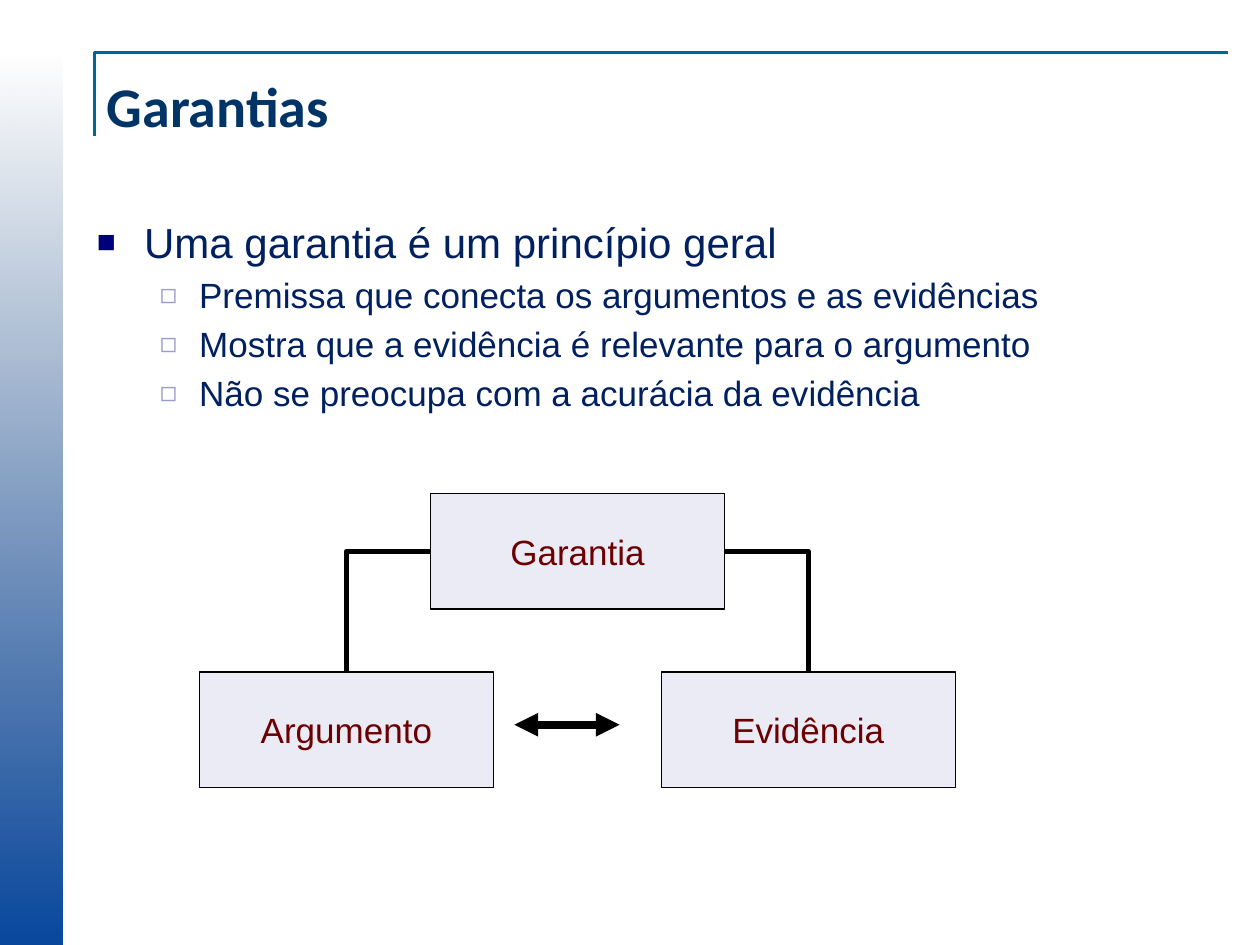
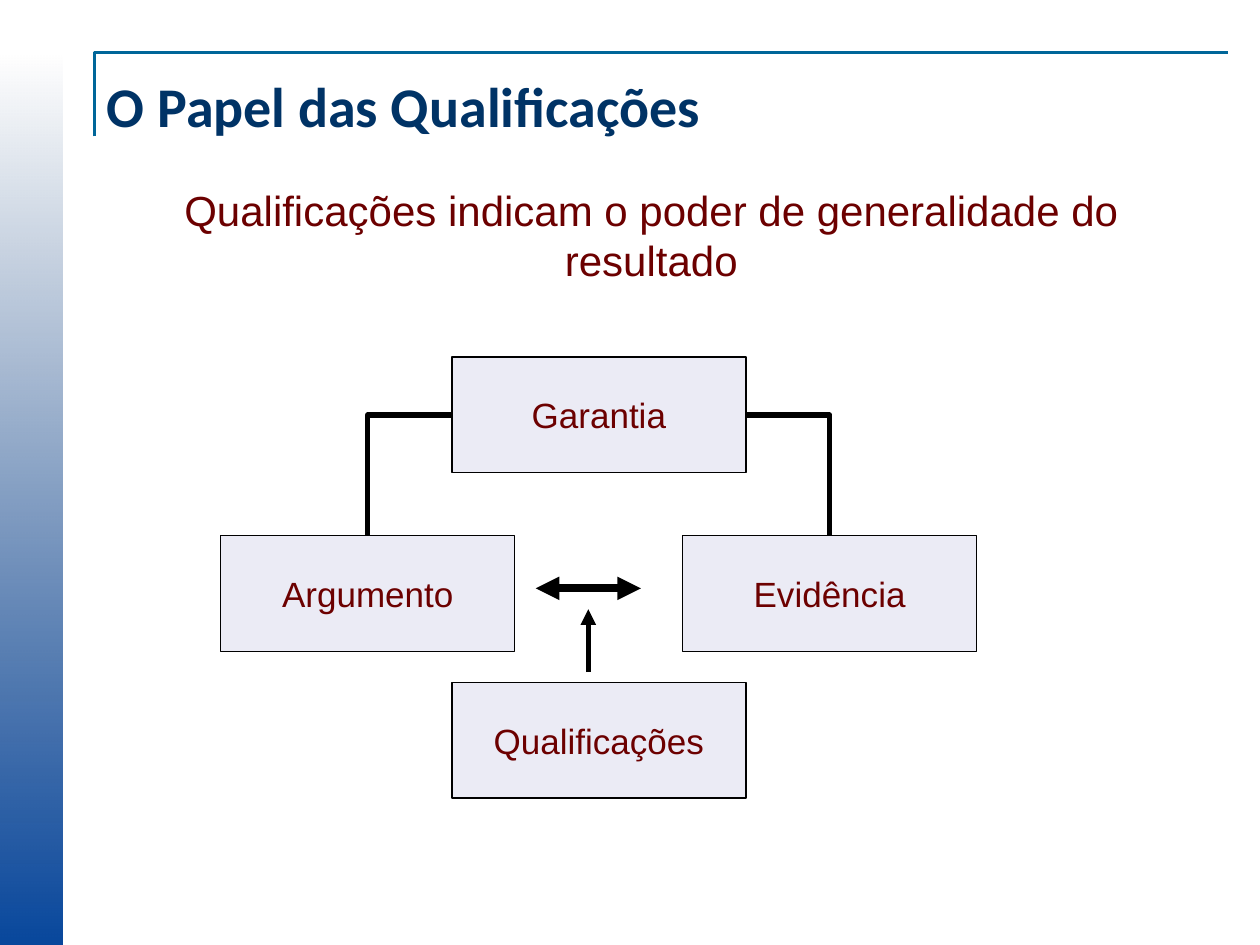
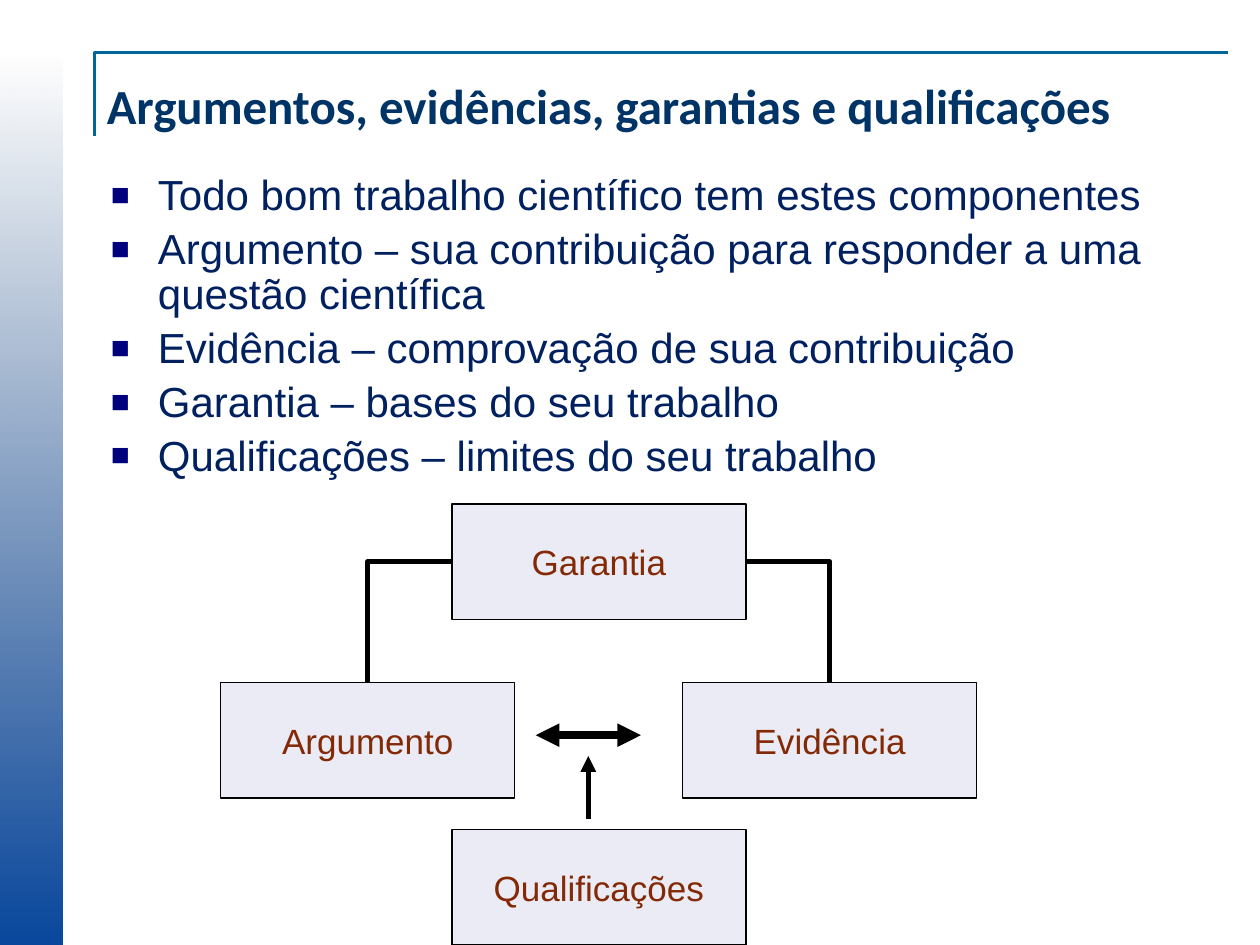
"""Build three slides on how claims, evidence, warrants and qualifications connect."""
import dataclasses

import pptx
import pptx.dml.color
import pptx.enum.shapes
import pptx.enum.text
import pptx.oxml.ns
import pptx.oxml.xmlchemy
import pptx.util

Cm = pptx.util.Cm
Pt = pptx.util.Pt
qn = pptx.oxml.ns.qn


@dataclasses.dataclass(frozen=True)
class Theme:
    """Colours, fonts and type sizes of the deck."""

    title_font: str = "Calibri"
    body_font: str = "Arial"
    title_color: str = "003366"
    body_color: str = "002060"
    accent_color: str = "6C0000"
    summary_color: str = "832905"
    frame_color: str = "006699"
    band_bottom: str = "08479C"
    band_top: str = "063370"
    box_fill: str = "EBEBF5"
    line_color: str = "000000"
    title_size: int = 32
    long_title_size: int = 28
    level_sizes: tuple = (24, 20)
    box_size: int = 20
    bullets: tuple = (("■", "00007D", 75), ("◻", "9999CC", 80))
    indents: tuple = ((0.95, 0.95), (2.06, 0.79))


THEME = Theme()
BOX_WIDTH, BOX_HEIGHT = 5.93, 2.33


def rgb(value):
    """Return a colour from its hexadecimal form."""
    return pptx.dml.color.RGBColor.from_string(value)


def add_child(parent, tag, **attributes):
    """Append a drawing element with the given attributes."""
    child = pptx.oxml.xmlchemy.OxmlElement(tag)
    for name, value in attributes.items():
        child.set(name, str(value))
    parent.append(child)
    return child


def add_run(paragraph, text, font_name, size, color, bold=False):
    """Add one formatted run to a paragraph."""
    run = paragraph.add_run()
    run.text = text
    run.font.name = font_name
    run.font.size = Pt(size)
    run.font.bold = bold
    run.font.color.rgb = rgb(color)


def place(shape, left, top, width, height):
    """Set the position and size of a shape in centimetres."""
    shape.left, shape.top = Cm(left), Cm(top)
    shape.width, shape.height = Cm(width), Cm(height)


def move_to_layout(shape, layout, shape_id):
    """Move a shape behind the placeholders of a layout."""
    shape.element.xpath("p:nvSpPr/p:cNvPr")[0].set("id", str(shape_id))
    layout.shapes.element.insert(2, shape.element)


def decorate_layout(layout, slide):
    """Put the side band, the title frame and the title position on the layout."""
    band = slide.shapes.add_shape(
        pptx.enum.shapes.MSO_SHAPE.RECTANGLE, 0, Cm(1.06), Cm(1.27), Cm(17.99))
    band.shadow.inherit = False
    band.line.fill.background()
    band.fill.gradient()
    band.fill.gradient_angle = 90
    stops = band.fill.gradient_stops
    for stop, color in zip(stops, (THEME.band_bottom, THEME.band_top)):
        stop.color.rgb = rgb(color)
    stops[0].position, stops[1].position = 0, 1
    clear_color = band.element.xpath(".//a:gs/a:srgbClr")[1]
    add_child(clear_color, "a:alpha", val=0)

    builder = slide.shapes.build_freeform(Cm(1.9), Cm(2.75))
    builder.add_line_segments(
        [(Cm(1.9), Cm(1.06)), (Cm(24.76), Cm(1.06))], close=False)
    frame = builder.convert_to_shape()
    frame.shadow.inherit = False
    frame.fill.background()
    frame.line.color.rgb = rgb(THEME.frame_color)
    frame.line.width = Pt(1.5)

    for shape_id, shape in enumerate((band, frame), start=20):
        move_to_layout(shape, layout, shape_id)
    place(layout.placeholders[0], 1.9, 1.06, 22.65, 2.12)


def set_title(slide, text, size=THEME.title_size):
    """Fill the title placeholder."""
    frame = slide.shapes.title.text_frame
    frame.auto_size = pptx.enum.text.MSO_AUTO_SIZE.NONE
    frame.vertical_anchor = pptx.enum.text.MSO_ANCHOR.MIDDLE
    paragraph = frame.paragraphs[0]
    paragraph.alignment = pptx.enum.text.PP_ALIGN.LEFT
    add_run(paragraph, text, THEME.title_font, size, THEME.title_color, bold=True)


def set_bullet(paragraph, level):
    """Give a paragraph the indent and bullet of its level."""
    character, color, percent = THEME.bullets[level]
    margin, hanging = THEME.indents[level]
    properties = paragraph._p.get_or_add_pPr()
    properties.set("marL", str(Cm(margin)))
    properties.set("indent", str(-Cm(hanging)))
    add_child(add_child(properties, "a:buClr"), "a:srgbClr", val=color)
    add_child(properties, "a:buSzPct", val=percent * 1000)
    add_child(properties, "a:buFont", typeface=THEME.body_font)
    add_child(properties, "a:buChar", char=character)


def prepare_body(slide, position):
    """Place the body placeholder and return its text frame."""
    body = slide.placeholders[1]
    place(body, *position)
    body.text_frame.auto_size = pptx.enum.text.MSO_AUTO_SIZE.NONE
    return body.text_frame


def set_list(slide, position, items, line_spacing=1.0):
    """Fill the body placeholder with (level, text) items."""
    frame = prepare_body(slide, position)
    for index, (level, text) in enumerate(items):
        paragraph = frame.add_paragraph() if index else frame.paragraphs[0]
        paragraph.level = level
        set_bullet(paragraph, level)
        paragraph.line_spacing = line_spacing
        if index == 0:
            paragraph.space_before = Pt(0)
        add_run(paragraph, text, THEME.body_font, THEME.level_sizes[level],
                THEME.body_color)


def set_statement(slide, position, text):
    """Fill the body placeholder with one centred sentence."""
    paragraph = prepare_body(slide, position).paragraphs[0]
    properties = paragraph._p.get_or_add_pPr()
    properties.set("marL", "0")
    properties.set("indent", "0")
    add_child(properties, "a:buNone")
    paragraph.alignment = pptx.enum.text.PP_ALIGN.CENTER
    paragraph.space_before = Pt(0)
    add_run(paragraph, text, THEME.body_font, THEME.level_sizes[0],
            THEME.accent_color)


def add_box(slide, left, top, text, color):
    """Add one labelled box of the diagram."""
    box = slide.shapes.add_shape(
        pptx.enum.shapes.MSO_SHAPE.RECTANGLE,
        Cm(left), Cm(top), Cm(BOX_WIDTH), Cm(BOX_HEIGHT))
    box.shadow.inherit = False
    box.fill.solid()
    box.fill.fore_color.rgb = rgb(THEME.box_fill)
    box.line.color.rgb = rgb(THEME.line_color)
    box.line.width = Pt(0.75)
    frame = box.text_frame
    frame.word_wrap = False
    frame.vertical_anchor = pptx.enum.text.MSO_ANCHOR.MIDDLE
    paragraph = frame.paragraphs[0]
    paragraph.alignment = pptx.enum.text.PP_ALIGN.CENTER
    add_run(paragraph, text, THEME.body_font, THEME.box_size, color)
    return box


def add_line(slide, kind, start, end, width, arrows=()):
    """Add a black connector with optional arrowheads."""
    connector = slide.shapes.add_connector(
        kind, *(Cm(value) for value in (*start, *end)))
    connector.line.color.rgb = rgb(THEME.line_color)
    connector.line.width = Pt(width)
    line = connector.element.spPr.find(qn("a:ln"))
    for arrow in arrows:
        add_child(line, arrow, type="triangle")
    add_child(connector.element.spPr, "a:effectLst")
    return connector


def add_elbow(slide, upper, upper_site, lower):
    """Join the side of the upper box to the top of the lower box."""
    connector = add_line(
        slide, pptx.enum.shapes.MSO_CONNECTOR.ELBOW, (0, 0), (1, 1), 3)
    connector.begin_connect(upper, upper_site)
    connector.end_connect(lower, 0)
    geometry = connector.element.spPr.find(qn("a:prstGeom"))
    geometry.set("prst", "bentConnector2")


def add_diagram(slide, left, top, color, qualified=True):
    """Add the warrant diagram, with qualifications when asked for."""
    straight = pptx.enum.shapes.MSO_CONNECTOR.STRAIGHT
    middle, lower = left + 4.66, top + 3.6
    argument = add_box(slide, left, lower, "Argumento", color)
    evidence = add_box(slide, left + 9.31, lower, "Evidência", color)
    warrant = add_box(slide, middle, top, "Garantia", color)
    add_elbow(slide, warrant, 1, argument)
    add_elbow(slide, warrant, 3, evidence)
    arrow_top = lower + 1.06
    add_line(slide, straight, (left + 6.35, arrow_top), (left + 8.47, arrow_top),
             4.5, ("a:headEnd", "a:tailEnd"))
    if qualified:
        add_box(slide, middle, top + 6.56, "Qualificações", color)
        add_line(slide, straight, (left + 7.41, top + 6.35),
                 (left + 7.41, top + 5.08), 3, ("a:tailEnd",))


def main():
    """Build and save the presentation."""
    presentation = pptx.Presentation()
    presentation.slide_width, presentation.slide_height = Cm(25.4), Cm(19.05)
    layout = presentation.slide_layouts[1]
    warrants, qualifications, summary = (
        presentation.slides.add_slide(layout) for _ in range(3))
    decorate_layout(layout, warrants)

    set_title(warrants, "Garantias")
    set_list(warrants, (1.7, 4.23, 22.86, 13.12), [
        (0, "Uma garantia é um princípio geral"),
        (1, "Premissa que conecta os argumentos e as evidências"),
        (1, "Mostra que a evidência é relevante para o argumento"),
        (1, "Não se preocupa com a acurácia da evidência"),
    ])
    add_diagram(warrants, 4.02, 9.95, THEME.accent_color, qualified=False)

    set_title(qualifications, "O Papel das Qualificações")
    set_statement(qualifications, (1.7, 3.59, 22.86, 2.33),
                  "Qualificações indicam o poder de generalidade do resultado")
    add_diagram(qualifications, 4.45, 7.2, THEME.accent_color)

    set_title(summary, "Argumentos, evidências, garantias e qualificações",
              THEME.long_title_size)
    set_list(summary, (1.98, 3.39, 22.86, 6.56), [
        (0, "Todo bom trabalho científico tem estes componentes"),
        (0, "Argumento – sua contribuição para responder a uma questão científica"),
        (0, "Evidência – comprovação de sua contribuição"),
        (0, "Garantia – bases do seu trabalho"),
        (0, "Qualificações – limites do seu trabalho"),
    ], line_spacing=0.9)
    add_diagram(summary, 4.45, 10.16, THEME.summary_color)

    presentation.save("out.pptx")


if __name__ == "__main__":
    main()
